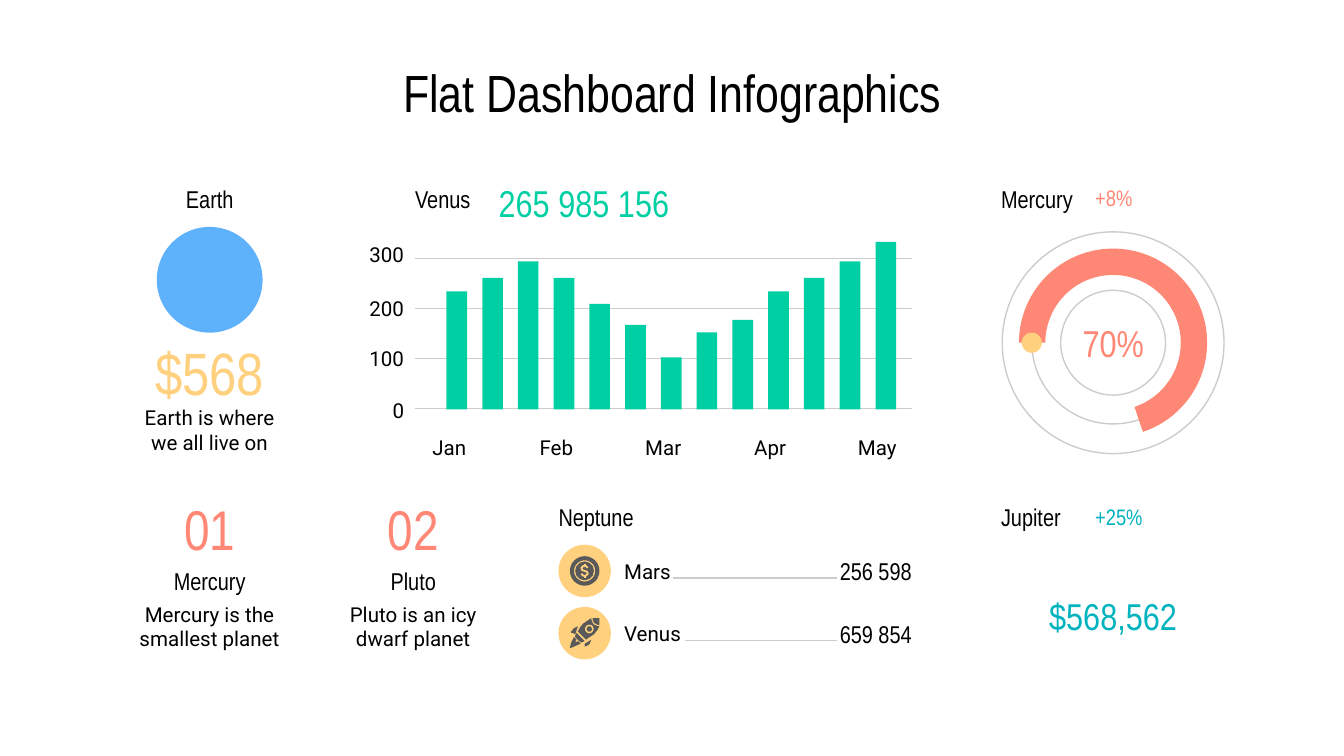
from lxml.etree import SubElement
from pptx import Presentation
from pptx.dml.color import RGBColor
from pptx.enum.shapes import MSO_CONNECTOR, MSO_SHAPE
from pptx.enum.text import MSO_ANCHOR, PP_ALIGN
from pptx.oxml.ns import qn
from pptx.util import Inches, Pt

COLUMNS, ROWS = 100, 56.25
CELL = Inches(0.1)
BLACK = RGBColor(0x00, 0x00, 0x00)
GREY = RGBColor(0xCC, 0xCC, 0xCC)
DARK = RGBColor(0x59, 0x59, 0x59)
CORAL = RGBColor(0xFF, 0x87, 0x75)
YELLOW = RGBColor(0xFF, 0xD0, 0x7E)
GREEN = RGBColor(0x00, 0xCF, 0xA4)
TEAL = RGBColor(0x00, 0xB3, 0xBE)
BLUE = RGBColor(0x5E, 0xB2, 0xFC)
HEADING, BODY = "Arial Narrow", "Roboto"
LEFT, CENTER, RIGHT = PP_ALIGN.LEFT, PP_ALIGN.CENTER, PP_ALIGN.RIGHT

BAR_VALUES = [236, 263, 296, 263, 211, 169, 104, 154, 179, 236, 263, 296, 335]
AXIS_LABELS = [("300", 17.3), ("200", 21.3), ("100", 25), ("0", 28.9)]
MONTHS = ["Jan", "Feb", "Mar", "Apr", "May"]
DOLLAR_STROKES = [
    [(0.24, -0.22), (0.1, -0.36), (-0.1, -0.36), (-0.24, -0.22), (-0.18, -0.06),
     (0.18, 0.06), (0.24, 0.22), (0.1, 0.36), (-0.1, 0.36), (-0.24, 0.22)],
    [(0, -0.55), (0, -0.36)],
    [(0, 0.36), (0, 0.55)],
]
ROCKET_PARTS = [
    [(42.9, 47.1), (42.8, 47.3), (42.8, 47.4), (43.2, 47.8), (43.3, 47.8), (43.5, 47.7)],
    [(44.6, 46), (44.1, 46), (44.1, 46.1), (44.2, 46.35), (44.5, 46.5), (44.6, 46.5)],
    [(44, 46), (43.4, 46.4), (43.15, 46.7), (43, 47), (43.6, 47.6), (44.2, 47.2),
     (44.45, 46.9), (44.6, 46.6), (44.5, 46.6), (44.15, 46.45), (44, 46.1)],
    [(44, 47.6), (43.5, 47.9), (43.5, 48.1), (43.6, 48.1), (43.85, 47.95)],
    [(43, 46.6), (42.7, 46.75), (42.5, 47), (42.5, 47.1), (42.6, 47.1), (42.8, 47.2)],
    [(42.7, 47.4), (42.5, 47.8), (42.4, 48.2), (42.5, 48.2), (43.2, 47.9), (43, 47.7),
     (42.9, 47.8), (42.8, 47.7), (42.9, 47.6)],
]


def cells(count):
    """Convert a number of grid cells to a length."""
    return round(count * CELL)


def add_text(slide, text, left, top, width, height=3.3, size=13, font=HEADING,
             color=BLACK, align=LEFT):
    """Add a one-run text box placed on the grid."""
    box = slide.shapes.add_textbox(cells(left), cells(top), cells(width), cells(height))
    frame = box.text_frame
    frame.word_wrap = True
    frame.vertical_anchor = MSO_ANCHOR.MIDDLE
    frame.margin_left = frame.margin_right = frame.margin_top = frame.margin_bottom = CELL
    paragraph = frame.paragraphs[0]
    paragraph.alignment = align
    run = paragraph.add_run()
    run.text = text
    run.font.size = Pt(size)
    run.font.name = font
    run.font.color.rgb = color
    return frame


def paint(shape, fill=None, line=None, weight=0.75):
    """Give a shape its fill and outline, without shadow."""
    shape.shadow.inherit = False
    if fill is None:
        shape.fill.background()
    else:
        shape.fill.solid()
        shape.fill.fore_color.rgb = fill
    if line is None:
        shape.line.fill.background()
    else:
        shape.line.color.rgb = line
        shape.line.width = Pt(weight)


def add_preset(slide, preset, left, top, width, height, fill, adjustments=()):
    """Add a filled preset shape placed on the grid."""
    shape = slide.shapes.add_shape(
        preset, cells(left), cells(top), cells(width), cells(height))
    paint(shape, fill)
    for index, value in enumerate(adjustments):
        shape.adjustments[index] = value
    return shape


def add_round(slide, x, y, diameter, fill=None, preset=MSO_SHAPE.OVAL, adjustments=()):
    """Add a round preset shape about a centre point."""
    radius = diameter / 2
    return add_preset(slide, preset, x - radius, y - radius, diameter, diameter, fill,
                      adjustments)


def add_rule(slide, start, end, y):
    """Add a thin grey horizontal line."""
    rule = slide.shapes.add_connector(
        MSO_CONNECTOR.STRAIGHT, cells(start), cells(y), cells(end), cells(y))
    rule.line.color.rgb = GREY
    rule.line.width = Pt(0.75)
    SubElement(rule._element.spPr, qn("a:effectLst"))


def add_outline(slide, contours, closed=True):
    """Build one freeform from its contours."""
    corners = [[(cells(x), cells(y)) for x, y in contour] for contour in contours]
    builder = slide.shapes.build_freeform(*corners[0][0])
    for index, contour in enumerate(corners):
        if index:
            builder.move_to(*contour[0])
        builder.add_line_segments(contour[1:], close=closed)
    return builder.convert_to_shape()


def add_coin(slide, x, y):
    """Draw the coin icon around a centre point."""
    add_round(slide, x, y, 2.2, DARK, MSO_SHAPE.DONUT, [0.14])
    add_round(slide, x, y, 1.4, DARK)
    strokes = [[(x + across, y + down) for across, down in stroke]
               for stroke in DOLLAR_STROKES]
    paint(add_outline(slide, strokes, False), line=YELLOW, weight=1)


def add_rocket(slide):
    """Draw the rocket icon with its round window."""
    for part in ROCKET_PARTS:
        paint(add_outline(slide, [part]), DARK)
    add_round(slide, 43.85, 46.8, 0.65, YELLOW, MSO_SHAPE.DONUT, [0.18])


def add_progress(slide):
    """Draw the ring gauge and its labels."""
    x, y = 82.82, 25.5
    for diameter in (16.5, 12.1, 7.8):
        paint(add_round(slide, x, y, diameter), line=GREY)
    add_round(slide, x, y, 14, CORAL, MSO_SHAPE.BLOCK_ARC, (108, 42.9, 0.14))
    add_round(slide, 76.77, y, 1.5, YELLOW)
    add_text(slide, "Mercury", 73.5, 13.15, 7.8)
    add_text(slide, "+8%", 80.5, 13.05, 5.2, size=12, color=CORAL)
    add_text(slide, "70%", 78.93, 22.85, 7.8, 5.3, 20, color=CORAL, align=CENTER)


def add_growth(slide):
    """Add the total with its growth rate."""
    add_text(slide, "Jupiter", 73.5, 36.8, 7.8)
    add_text(slide, "$568,562", 76.77, 43.15, 12.1, 5.3, 20, color=TEAL, align=CENTER)
    add_text(slide, "+25%", 80.5, 36.8, 5.9, size=12, color=TEAL)


def add_ranking(slide):
    """Add the two icon rows with names and amounts."""
    add_text(slide, "Neptune", 40.57, 36.8, 8.8)
    entries = [("Mars", "256 598", 50.1), ("Venus", "659 854", 51)]
    for row, (name, amount, start) in enumerate(entries):
        top = 40.85 + 4.63 * row
        add_text(slide, name, 45.45, top, 7.8, size=11, font=BODY)
        add_text(slide, amount, 61.5, top, 7.8)
        add_rule(slide, start, 62.3, top + 2.17)
        add_round(slide, 43.5, top + 1.63, 3.9, YELLOW)
    add_coin(slide, 43.5, 42.48)
    add_rocket(slide)


def add_bars(slide):
    """Draw the monthly bars with gridlines and labels."""
    base, hundred = 30.4, 3.72
    for step in range(4):
        add_rule(slide, 30.85, 67.85, base - hundred * step)
    add_text(slide, "Venus", 29.9, 13.15, 7.8)
    add_text(slide, "265 985 156", 36.12, 13.4, 15.5, size=20, color=GREEN)
    for label, top in AXIS_LABELS:
        add_text(slide, label, 25.85, top, 5.2, size=11, font=BODY, align=RIGHT)
    for index, month in enumerate(MONTHS):
        add_text(slide, month, 30.83 + 7.96 * index, 31.65, 5.2, size=11, font=BODY,
                 align=CENTER)
    for index, value in enumerate(BAR_VALUES):
        height = value * hundred / 100
        add_preset(slide, MSO_SHAPE.RECTANGLE, 33.22 + 2.66 * index, base + 0.06 - height,
                   1.53, height, GREEN)


def add_planet(slide, left, number, name, description):
    """Add a numbered planet column."""
    add_text(slide, description, left, 44.2, 13.3, 4.8, 11, BODY, align=CENTER)
    add_text(slide, name, left, 41.9, 13.3, 2.7, align=CENTER)
    add_text(slide, number, left, 37.93, 13.3, 2.7, 30, color=CORAL, align=CENTER)


def add_earth(slide):
    """Add the Earth column with its disc and price."""
    add_text(slide, "Earth", 11.7, 13.15, 7.8, align=CENTER)
    add_text(slide, "$568", 8.95, 25, 13.3, 5.3, 32, color=YELLOW, align=CENTER)
    add_text(slide, "Earth is where we all live on", 8.95, 29.6, 13.3, 4.8, 11, BODY,
             align=CENTER)
    add_round(slide, 15.6, 20.82, 7.87, BLUE)


def main():
    """Build the dashboard slide and save it."""
    presentation = Presentation()
    presentation.slide_width, presentation.slide_height = cells(COLUMNS), cells(ROWS)
    slide = presentation.slides.add_slide(presentation.slide_layouts[6])
    title = add_text(slide, "Flat Dashboard Infographics", 4.5, 3.45, 91, 6.3, 28,
                     align=CENTER)
    title.vertical_anchor = MSO_ANCHOR.TOP
    add_progress(slide)
    add_growth(slide)
    add_ranking(slide)
    add_earth(slide)
    add_planet(slide, 8.95, "01", "Mercury", "Mercury is the smallest planet")
    add_planet(slide, 24.1, "02", "Pluto", "Pluto is an icy dwarf planet")
    add_bars(slide)
    presentation.save("out.pptx")


if __name__ == "__main__":
    main()
